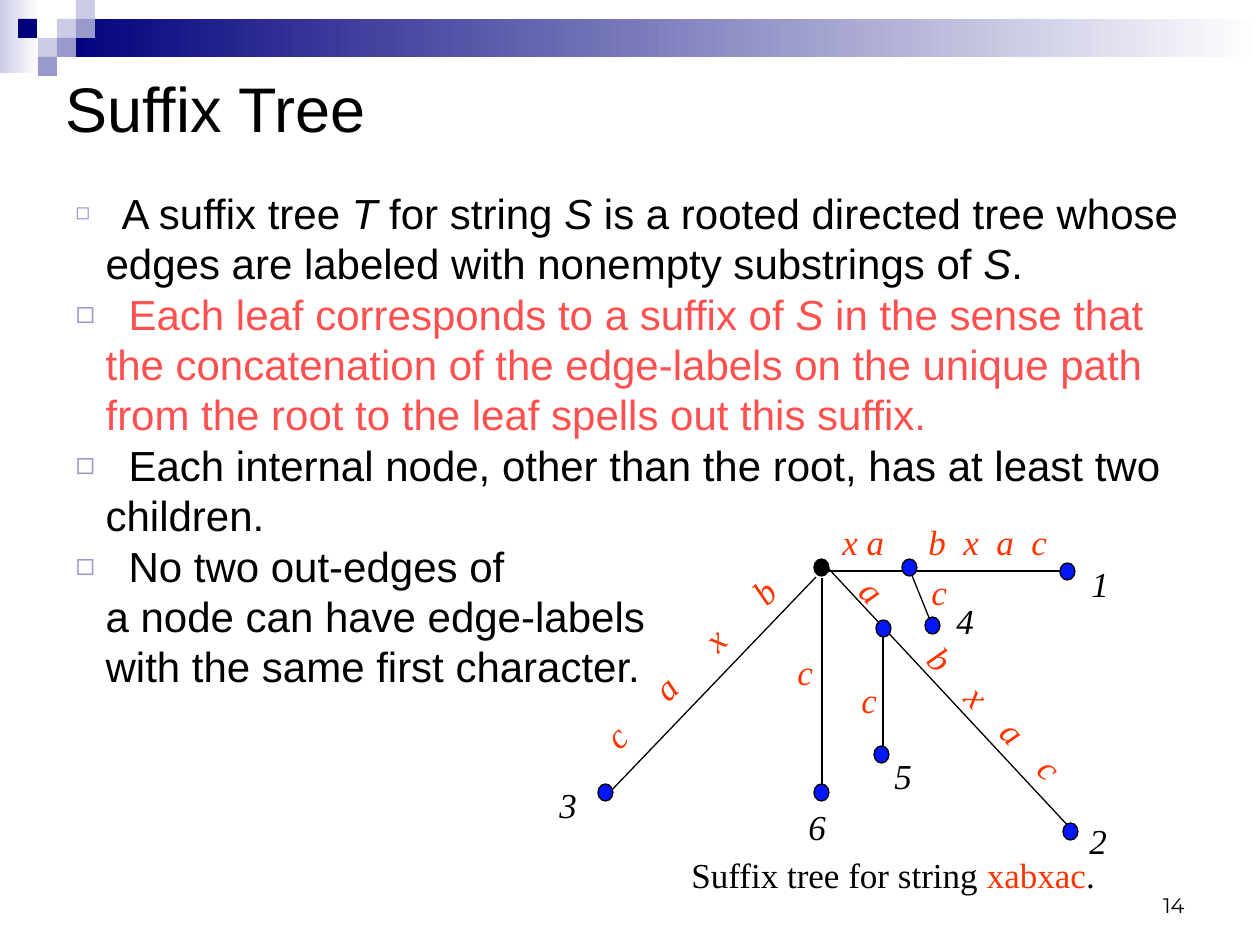
from lxml import etree
from pptx import Presentation
from pptx import util as u
from pptx.dml.color import RGBColor
from pptx.enum import shapes, text
from pptx.oxml import ns

PX = 914400 / 126
SANS, SERIF = "Arial", "Times New Roman"
BLACK, NAVY, BLUE, RED = "000000", "00007D", "0416FA", "FF3300"
PALE, LILAC, WHITE, CORAL = "CCCCE6", "9999CC", "FFFFFF", "FF5050"


def px(*lengths):
    return [u.Emu(round(length * PX)) for length in lengths]


def paint(target, colour):
    target.rgb = RGBColor.from_string(colour)


def fill_solid(shape, colour):
    shape.fill.solid()
    paint(shape.fill.fore_color, colour)


def add_child(parent, tag, **attributes):
    child = etree.SubElement(parent, ns.qn(tag))
    for name, value in attributes.items():
        child.set(name, str(value))
    return child


def add_tabs(para, stops):
    tabs = add_child(para._p.get_or_add_pPr(), "a:tabLst")
    for stop in px(*stops):
        add_child(tabs, "a:tab", pos=int(stop), algn="l")


def add_bullet(para, size):
    properties = para._p.get_or_add_pPr()
    margin = int(px(30)[0])
    properties.set("marL", str(margin))
    properties.set("indent", str(-margin))
    add_child(add_child(properties, "a:buClr"), "a:srgbClr", val=LILAC)
    add_child(properties, "a:buSzPct", val=size * 1000)
    add_child(properties, "a:buChar", char="◻")


def style(font, name, size, colour, italic=None):
    font.name, font.size, font.italic = name, u.Pt(size), italic
    paint(font.color, colour)


def move(shape, left, top, width, height):
    shape.left, shape.top, shape.width, shape.height = px(left, top, width, height)


def add_block(page, left, top, width, height, *colours):
    """A plain block; two colours make a left-to-right gradient."""
    block = page.shapes.add_shape(shapes.MSO_SHAPE.RECTANGLE, *px(left, top, width, height))
    block.shadow.inherit = False
    block.line.fill.background()
    if len(colours) == 1:
        fill_solid(block, colours[0])
        return
    block.fill.gradient()
    block.fill.gradient_angle = 0
    for stop, colour in zip(block.fill.gradient_stops, colours):
        paint(stop.color, colour)


def add_node(page, left, top, colour=BLUE):
    node = page.shapes.add_shape(shapes.MSO_SHAPE.OVAL, *px(left, top, 15, 17))
    node.shadow.inherit = False
    fill_solid(node, colour)
    node.line.width = u.Pt(0.75)
    paint(node.line.color, BLACK)


def add_edge(page, *ends):
    edge = page.shapes.add_connector(shapes.MSO_CONNECTOR.STRAIGHT, *px(*ends))
    edge.line.width = u.Pt(0.75)
    paint(edge.line.color, BLACK)
    add_child(edge._element.spPr, "a:effectLst")


def add_label(page, content, left, top, width, height=55, colour=BLACK,
              tabs=(), rotation=0, italic=True, name=SERIF, size=20):
    box = page.shapes.add_textbox(*px(left, top, width, height))
    box.rotation = rotation
    box.text_frame.word_wrap = True
    para = box.text_frame.paragraphs[0]
    para.text = content
    if tabs:
        add_tabs(para, tabs)
    style(para.font, name, size, colour, italic)
    return box


def add_item(para, content, colour=BLACK, bullet=75, start=53):
    """A list item; *stars* mark italics and a newline breaks the line."""
    add_bullet(para, bullet)
    add_tabs(para, [start])
    style(para.font, SANS, 24, colour)
    para.space_before = u.Pt(0)
    para.line_spacing = u.Pt(28.8)
    for index, part in enumerate(("\t" + content).split("*")):
        for row, line in enumerate(part.split("\n")):
            if row:
                para.add_line_break()
            span = para.add_run()
            span.text = line
            if index % 2:
                span.font.italic = True


def add_banner(page):
    add_block(page, 0, 0, 39, 73, PALE, WHITE)
    add_block(page, 57, 19, 1203, 38, NAVY, WHITE)
    for left, top, colour in [(57, 19, PALE), (76, 0, PALE), (76, 19, LILAC), (38, 38, PALE),
                              (18, 19, NAVY), (57, 38, LILAC), (38, 57, LILAC)]:
        add_block(page, left, top, 19, 19, colour)


def add_heading_and_list(page):
    title, body = page.placeholders
    move(title, 53, 53, 1017, 108)
    title.text_frame.text = "Suffix Tree"
    title.text_frame.vertical_anchor = text.MSO_ANCHOR.MIDDLE
    para = title.text_frame.paragraphs[0]
    para.alignment = text.PP_ALIGN.LEFT
    style(para.font, SANS, 36, BLACK)

    move(body, 63, 181, 1128, 517)
    frame = body.text_frame
    frame.auto_size = text.MSO_AUTO_SIZE.NONE
    add_item(frame.paragraphs[0],
             "A suffix tree *T* for string* S* is a rooted directed tree whose "
             "edges are labeled with nonempty substrings of *S*.", bullet=56, start=46)
    add_item(frame.add_paragraph(),
             "Each leaf corresponds to a suffix of *S* in the sense that the concatenation of the "
             "edge-labels on the unique path from the root to the leaf spells out this suffix.",
             CORAL)
    add_item(frame.add_paragraph(),
             "Each internal node, other than the root, has at least two children.")
    add_item(frame.add_paragraph(),
             "No two out-edges of\na node can have edge-labels\nwith the same first character.")


def add_tree(page):
    # Edges
    for ends in [(828, 568, 1071, 829), (816, 577, 609, 793), (883, 631, 883, 755),
                 (822, 578, 822, 794), (823, 571, 1066, 571), (911, 573, 932, 625)]:
        add_edge(page, *ends)
    # Root, internal nodes and leaves
    add_node(page, 814, 559, BLACK)
    for left, top in [(902, 559), (876, 620), (1060, 563), (1063, 823),
                      (598, 784), (925, 617), (874, 746), (814, 784)]:
        add_node(page, left, top)
    # Edge labels
    add_label(page, "c\ta\tx\tb", 559, 619, 296, colour=RED, tabs=(68, 138, 206), rotation=315.6)
    add_label(page, "a\tb\tx\ta\tc", 806, 674, 354, colour=RED,
              tabs=(96, 149, 199, 252), rotation=45)
    add_label(page, "x a\tb\tx\ta\tc", 830, 514, 236, colour=RED, tabs=(86, 121, 154, 189))
    for left, top in [(919, 564), (849, 672), (785, 644)]:
        add_label(page, "c", left, top, 42, colour=RED)
    # Leaf numbers
    leaves = [(1079, 556), (1077, 813), (547, 777), (944, 593), (882, 748), (796, 799)]
    for number, (left, top) in enumerate(leaves, 1):
        add_label(page, str(number), left, top, 43)
    # Caption
    caption = add_label(page, "Suffix tree for string ", 679, 847, 440, italic=None)
    para = caption.text_frame.paragraphs[0]
    for content, colour in [("xabxac", RED), (".", BLACK)]:
        span = para.add_run()
        span.text = content
        paint(span.font.color, colour)


def main():
    deck = Presentation()
    deck.slide_width, deck.slide_height = px(1260, 945)
    page = deck.slides.add_slide(deck.slide_layouts[1])
    add_banner(page)
    add_heading_and_list(page)
    add_tree(page)
    # Page number
    number = add_label(page, "14", 903, 861, 294, 63, italic=None, name="Montserrat", size=12)
    number.text_frame.vertical_anchor = text.MSO_ANCHOR.BOTTOM
    number.text_frame.paragraphs[0].alignment = text.PP_ALIGN.RIGHT
    deck.save("out.pptx")


if __name__ == "__main__":
    main()
